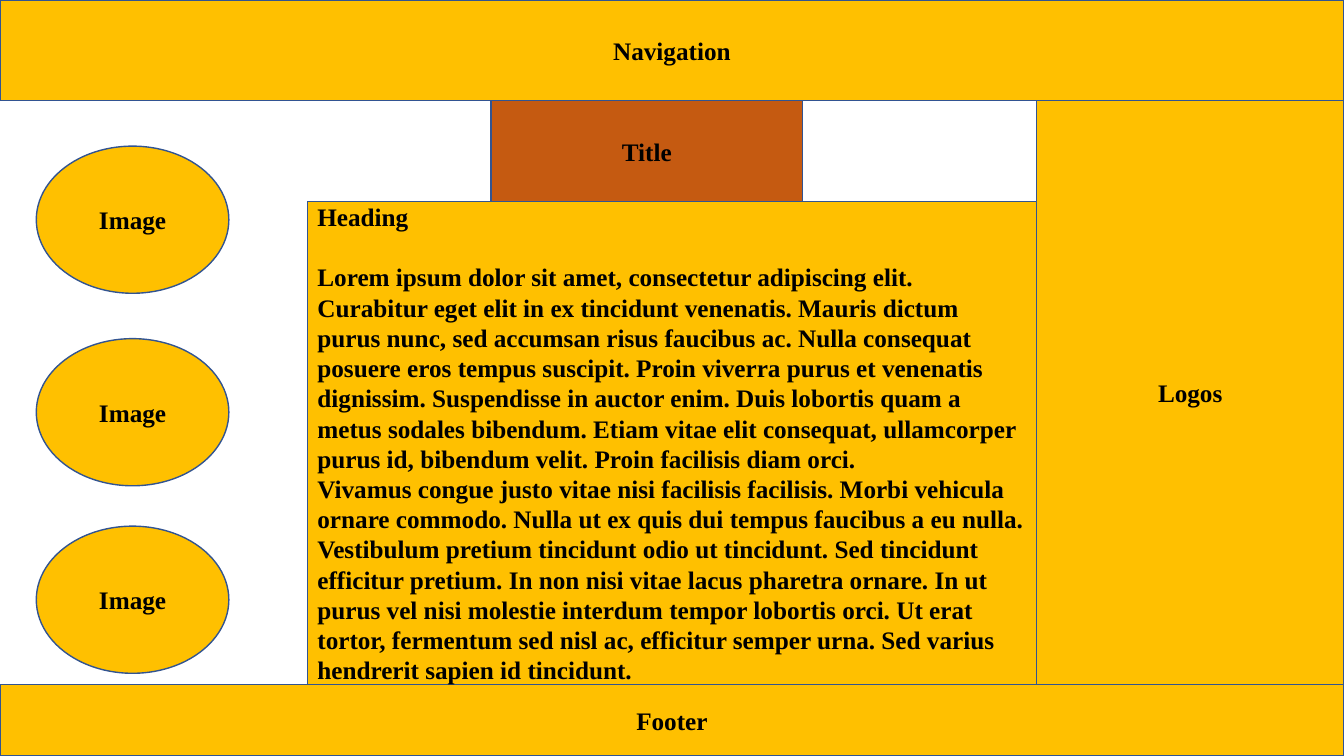
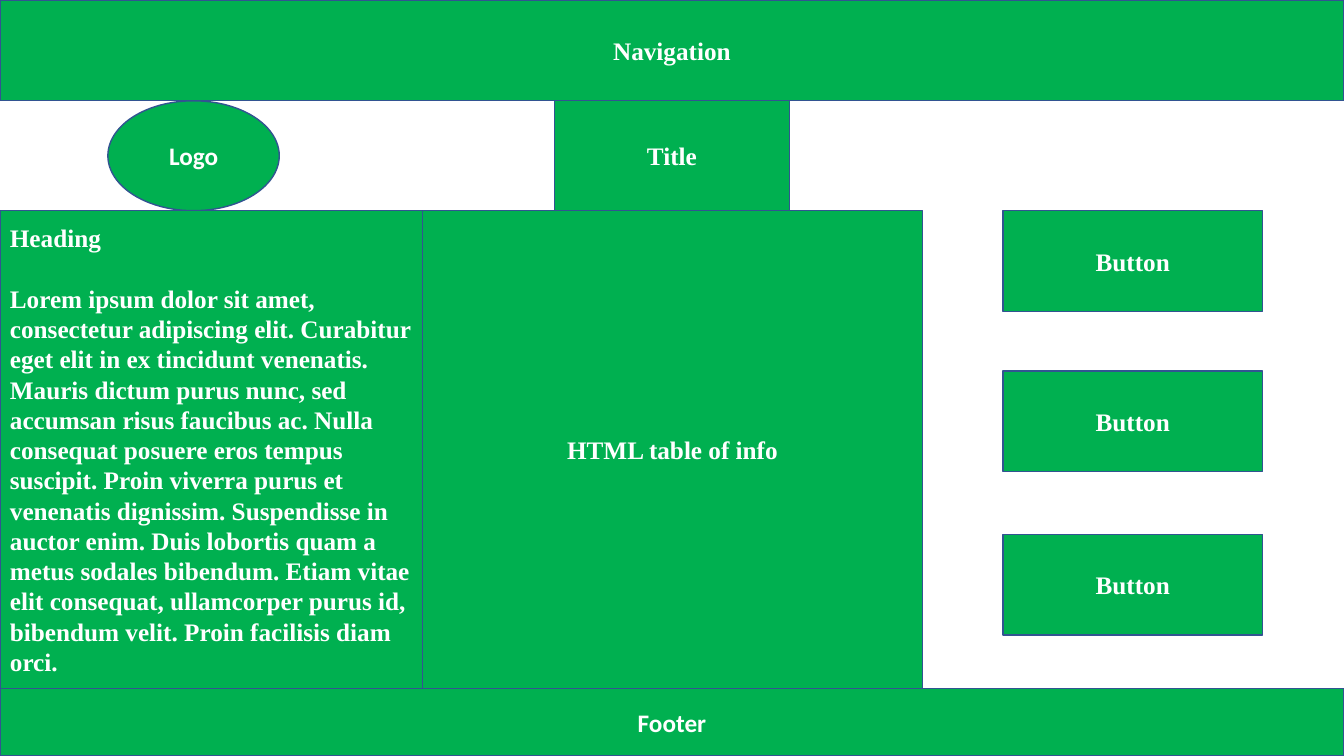
from pptx import Presentation
from pptx import util as u
from pptx.dml.color import RGBColor
from pptx.enum import shapes, text

PX = 9144  # EMU: 100 px to the inch
WIDTH, HEIGHT, NAV_HEIGHT = 1333, 750, 100
SERIF, SANS = "Times New Roman", "Calibri"
OUTLINE = "325491"
RECT, OVAL = shapes.MSO_SHAPE.RECTANGLE, shapes.MSO_SHAPE.OVAL
GOLD = {"fill": "FFC000", "color": "000000", "font": SERIF}
GREEN = {"fill": "00B050", "color": "FFFFFF", "font": SERIF}

LOREM = (
    "Lorem ipsum dolor sit amet, consectetur adipiscing elit. Curabitur eget elit in ex "
    "tincidunt venenatis. Mauris dictum purus nunc, sed accumsan risus faucibus ac. Nulla "
    "consequat posuere eros tempus suscipit. Proin viverra purus et venenatis dignissim. "
    "Suspendisse in auctor enim. Duis lobortis quam a metus sodales bibendum. Etiam vitae "
    "elit consequat, ullamcorper purus id, bibendum velit. Proin facilisis diam orci."
)
VIVAMUS = (
    "Vivamus congue justo vitae nisi facilisis facilisis. Morbi vehicula ornare commodo. "
    "Nulla ut ex quis dui tempus faucibus a eu nulla. Vestibulum pretium tincidunt odio ut "
    "tincidunt. Sed tincidunt efficitur pretium. In non nisi vitae lacus pharetra ornare. In "
    "ut purus vel nisi molestie interdum tempor lobortis orci. Ut erat tortor, fermentum sed "
    "nisl ac, efficitur semper urna. Sed varius hendrerit sapien id tincidunt."
)


def rgb(value):
    return RGBColor.from_string(value)


def add_block(slide, box, lines, style, kind=RECT, align=text.PP_ALIGN.CENTER):
    """Draw one outlined block with a paragraph for each line."""
    shape = slide.shapes.add_shape(kind, *(length * PX for length in box))
    shape.shadow.inherit = False
    shape.fill.solid()
    shape.fill.fore_color.rgb = rgb(style["fill"])
    shape.line.color.rgb = rgb(OUTLINE)
    shape.line.width = u.Pt(1)
    frame = shape.text_frame
    frame.word_wrap = True
    frame.vertical_anchor = text.MSO_ANCHOR.MIDDLE
    frame.text = "\n".join(lines)
    font_values = {"name": style["font"], "size": u.Pt(18), "bold": True}
    for paragraph in frame.paragraphs:
        paragraph.alignment = align
        for run in paragraph.runs:
            for name, value in font_values.items():
                setattr(run.font, name, value)
            run.font.color.rgb = rgb(style["color"])
    return shape


def add_article(slide, box, body, style):
    """Draw a left-aligned heading, one line of space and the body paragraphs."""
    shape = add_block(slide, box, ["Heading", *body], style, align=text.PP_ALIGN.LEFT)
    shape.text_frame.paragraphs[1].space_before = u.Pt(21.6)


def add_column(slide, box, tops, label, style, kind=RECT):
    """Repeat a labelled block down a column, at offsets from the box top."""
    left, top, width, height = box
    for offset in tops:
        add_block(slide, (left, top + offset, width, height), [label], style, kind)


def add_frame(presentation, style, footer_top, footer_font):
    """Add a slide with its navigation and footer bands."""
    slide = presentation.slides.add_slide(presentation.slide_layouts[6])
    add_block(slide, (0, 0, WIDTH, NAV_HEIGHT), ["Navigation"], style)
    footer_box = (0, footer_top, WIDTH, HEIGHT - footer_top)
    add_block(slide, footer_box, ["Footer"], {**style, "font": footer_font})
    return slide


def add_image_page(presentation):
    footer_top, article_top, article_left, logos_left = 679, 200, 305, 1028
    slide = add_frame(presentation, GOLD, footer_top, SERIF)
    add_column(slide, (36, 145, 191, 146), (0, 191, 377), "Image", GOLD, OVAL)
    title_box = (487, NAV_HEIGHT, 309, article_top - NAV_HEIGHT)
    add_block(slide, title_box, ["Title"], {**GOLD, "fill": "C55A11"})
    article_box = (article_left, article_top, logos_left - article_left, footer_top - article_top)
    add_article(slide, article_box, [LOREM, VIVAMUS], GOLD)
    logos_box = (logos_left, NAV_HEIGHT, WIDTH - logos_left, footer_top - NAV_HEIGHT)
    add_block(slide, logos_box, ["Logos"], GOLD)


def add_table_page(presentation):
    footer_top, content_top, table_left = 683, 209, 419
    head_height, content_height = content_top - NAV_HEIGHT, footer_top - content_top
    slide = add_frame(presentation, GREEN, footer_top, SANS)
    logo_box = (107, NAV_HEIGHT, 170, head_height)
    add_block(slide, logo_box, ["Logo"], {**GREEN, "font": SANS}, OVAL)
    add_block(slide, (550, NAV_HEIGHT, 233, head_height), ["Title"], GREEN)
    table_box = (table_left, content_top, 496, content_height)
    add_block(slide, table_box, ["HTML table of info"], GREEN)
    add_article(slide, (0, content_top, table_left, content_height), [LOREM], GREEN)
    add_column(slide, (995, content_top, 257, 100), (0, 159, 321), "Button", GREEN)


def main():
    presentation = Presentation()
    presentation.slide_width = WIDTH * PX
    presentation.slide_height = HEIGHT * PX
    add_image_page(presentation)
    add_table_page(presentation)
    presentation.save("out.pptx")


if __name__ == "__main__":
    main()
